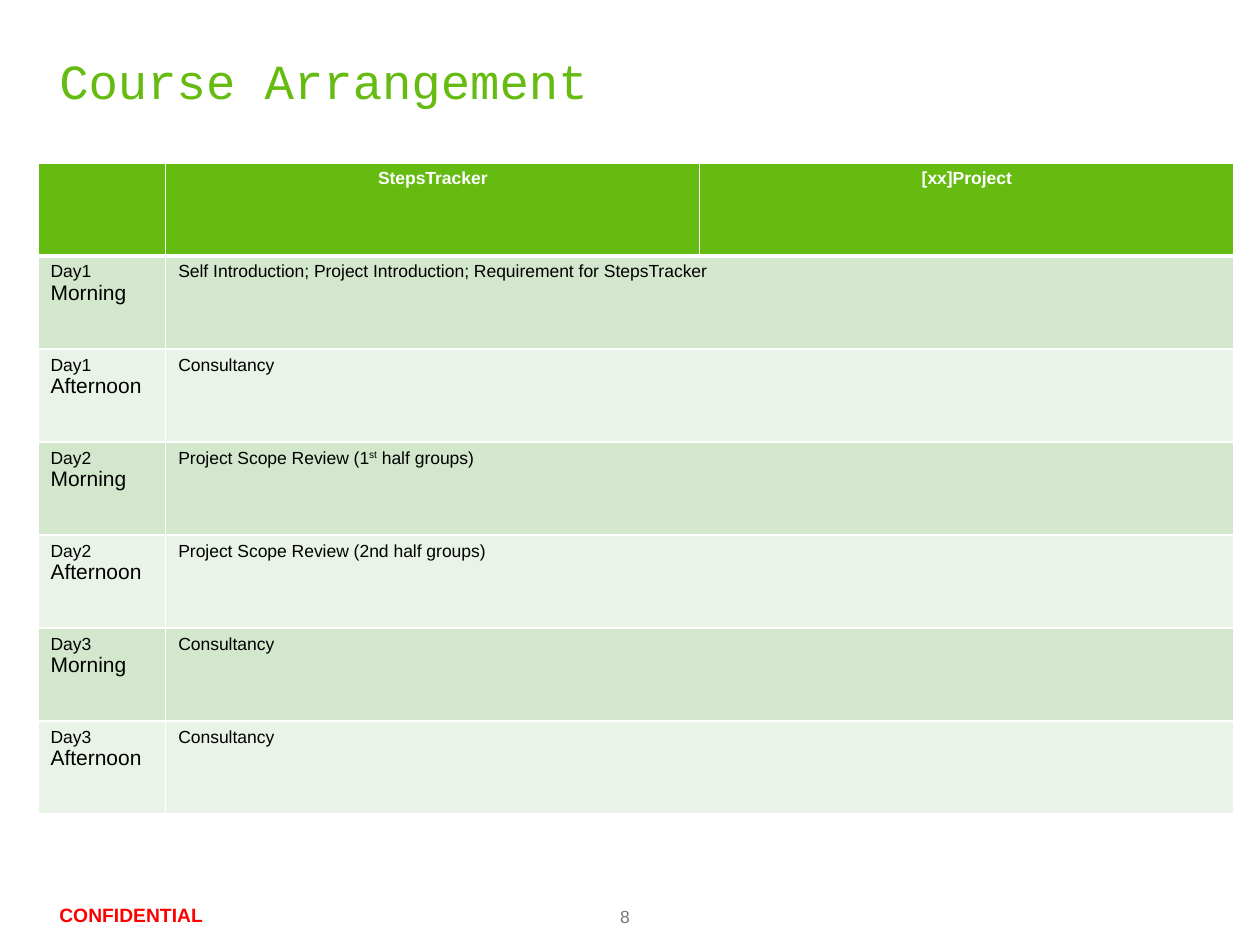
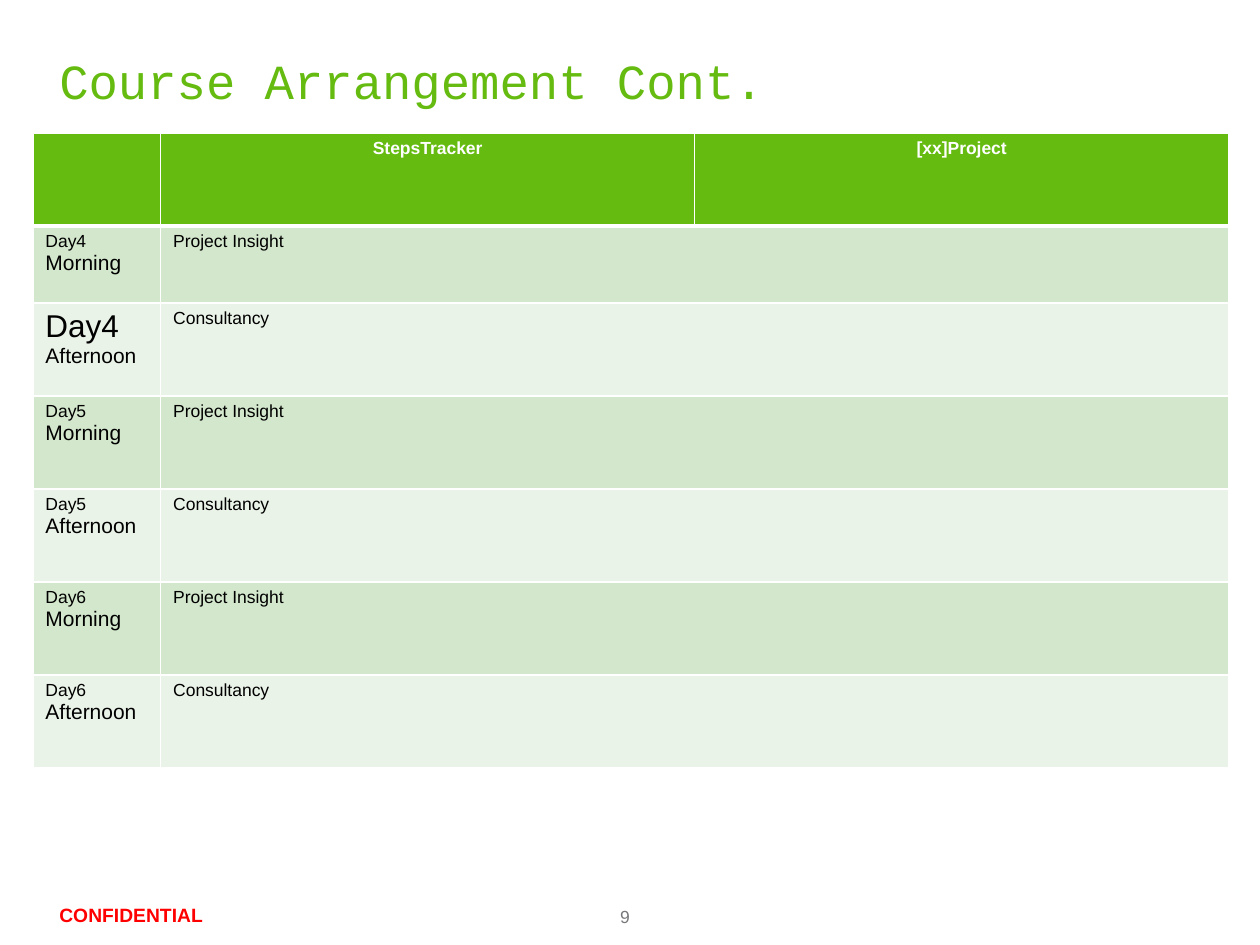
from lxml import etree
from pptx import Presentation
from pptx.dml.color import RGBColor
from pptx.enum.text import MSO_ANCHOR, PP_ALIGN
from pptx.oxml.ns import qn
from pptx.util import Pt

CENTER = PP_ALIGN.CENTER
TOP, MIDDLE = MSO_ANCHOR.TOP, MSO_ANCHOR.MIDDLE

COLORS = {
    "green": "65BB10",
    "band_dark": "D3E7CC",
    "band_light": "EAF3E7",
    "white": "FFFFFF",
    "black": "000000",
    "red": "FF0000",
    "gray": "77787B",
}
BODY_FONT, TITLE_FONT = "Arial", "Courier New"

HEADERS = ("", "StepsTracker", "[xx]Project")
COL_WIDTHS = (73, 305.15, 305.15)
ROW_HEIGHT = 53.15

# Each session: day, half of day, topic. In a tuple topic, every second piece is superscript.
SLIDES = [
    {
        "title": "Course Arrangement",
        "number": "8",
        "table_at": (21.7, 93.1),
        "sessions": [
            ("Day1", "Morning", "Self Introduction; Project Introduction; Requirement for StepsTracker"),
            ("Day1", "Afternoon", "Consultancy"),
            ("Day2", "Morning", ("Project Scope Review (1", "st", " half groups)")),
            ("Day2", "Afternoon", "Project Scope Review (2nd half groups)"),
            ("Day3", "Morning", "Consultancy"),
            ("Day3", "Afternoon", "Consultancy"),
        ],
        "row_heights": {},
        "day_sizes": {},
    },
    {
        "title": "Course Arrangement Cont.",
        "number": "9",
        "table_at": (18.8, 75.9),
        "sessions": [
            ("Day4", "Morning", "Project Insight"),
            ("Day4", "Afternoon", "Consultancy"),
            ("Day5", "Morning", "Project Insight"),
            ("Day5", "Afternoon", "Consultancy"),
            ("Day6", "Morning", "Project Insight"),
            ("Day6", "Afternoon", "Consultancy"),
        ],
        "row_heights": {1: 44},
        "day_sizes": {2: 18},
    },
]


def rgb(name):
    return RGBColor.from_string(COLORS[name])


def style(p, size, color, font=BODY_FONT, bold=False):
    p.font.size = Pt(size)
    p.font.name = font
    p.font.bold = bold
    p.font.color.rgb = rgb(color)


def add_text(slide, text, box, size, color, anchor=TOP, spacing=None, **font):
    tf = slide.shapes.add_textbox(*map(Pt, box)).text_frame
    tf.word_wrap = True
    tf.margin_left = tf.margin_top = tf.margin_right = tf.margin_bottom = 0
    tf.vertical_anchor = anchor
    p = tf.paragraphs[0]
    p.text = text
    if spacing:
        p.line_spacing = Pt(spacing)
    style(p, size, color, **font)


def format_cell(cell, color, top=1, bottom=1):
    """Fill a cell and give it white borders, with widths in points."""
    cell.fill.solid()
    cell.fill.fore_color.rgb = rgb(color)
    tc_pr = cell._tc.get_or_add_tcPr()
    widths = {"lnL": 1, "lnR": 1, "lnT": top, "lnB": bottom}
    for i, (side, width) in enumerate(widths.items()):
        ln = etree.Element(qn(f"a:{side}"), w=str(Pt(width)))
        fill = etree.SubElement(ln, qn("a:solidFill"))
        etree.SubElement(fill, qn("a:srgbClr"), val=COLORS["white"])
        tc_pr.insert(i, ln)


def write_topic(p, topic):
    pieces = (topic,) if isinstance(topic, str) else topic
    for i, piece in enumerate(pieces):
        r = p.add_run()
        r.text = piece
        if i % 2:
            r._r.get_or_add_rPr().set("baseline", "30000")
    style(p, 10, "black")


def add_schedule(slide, content):
    sessions = content["sessions"]
    heights = [content["row_heights"].get(i, ROW_HEIGHT) for i in range(len(sessions) + 1)]
    box = (*content["table_at"], sum(COL_WIDTHS), sum(heights))
    table = slide.shapes.add_table(len(heights), len(COL_WIDTHS), *map(Pt, box)).table
    table.horz_banding = False
    for col, width in zip(table.columns, COL_WIDTHS):
        col.width = Pt(width)
    for row, height in zip(table.rows, heights):
        row.height = Pt(height)

    for c, header in enumerate(HEADERS):
        cell = table.cell(0, c)
        format_cell(cell, "green", bottom=3)
        p = cell.text_frame.paragraphs[0]
        p.text = header
        p.alignment = CENTER
        style(p, 10, "white", bold=True)

    for i, (day, half, topic) in enumerate(sessions, start=1):
        for c in range(len(COL_WIDTHS)):
            format_cell(table.cell(i, c), "band_dark" if i % 2 else "band_light",
                        top=3 if i == 1 else 1)
        table.cell(i, 1).merge(table.cell(i, 2))
        tf = table.cell(i, 0).text_frame
        tf.text = f"{day}\n{half}"
        for p, size in zip(tf.paragraphs, (content["day_sizes"].get(i, 10), 12)):
            style(p, size, "black")
        write_topic(table.cell(i, 1).text_frame.paragraphs[0], topic)


def main():
    prs = Presentation()
    prs.slide_width, prs.slide_height = Pt(720), Pt(540)
    for content in SLIDES:
        slide = prs.slides.add_slide(prs.slide_layouts[6])
        add_text(slide, content["number"], (354.3, 512.6, 85, 15.3), 10, "gray", spacing=17)
        add_text(slide, "CONFIDENTIAL", (33.9, 512.6, 104.4, 15.3), 11, "red",
                 spacing=17, bold=True)
        add_text(slide, content["title"], (33.9, 25.2, 652.3, 41), 28, "green",
                 anchor=MIDDLE, font=TITLE_FONT)
        add_schedule(slide, content)
    prs.save("out.pptx")


if __name__ == "__main__":
    main()
